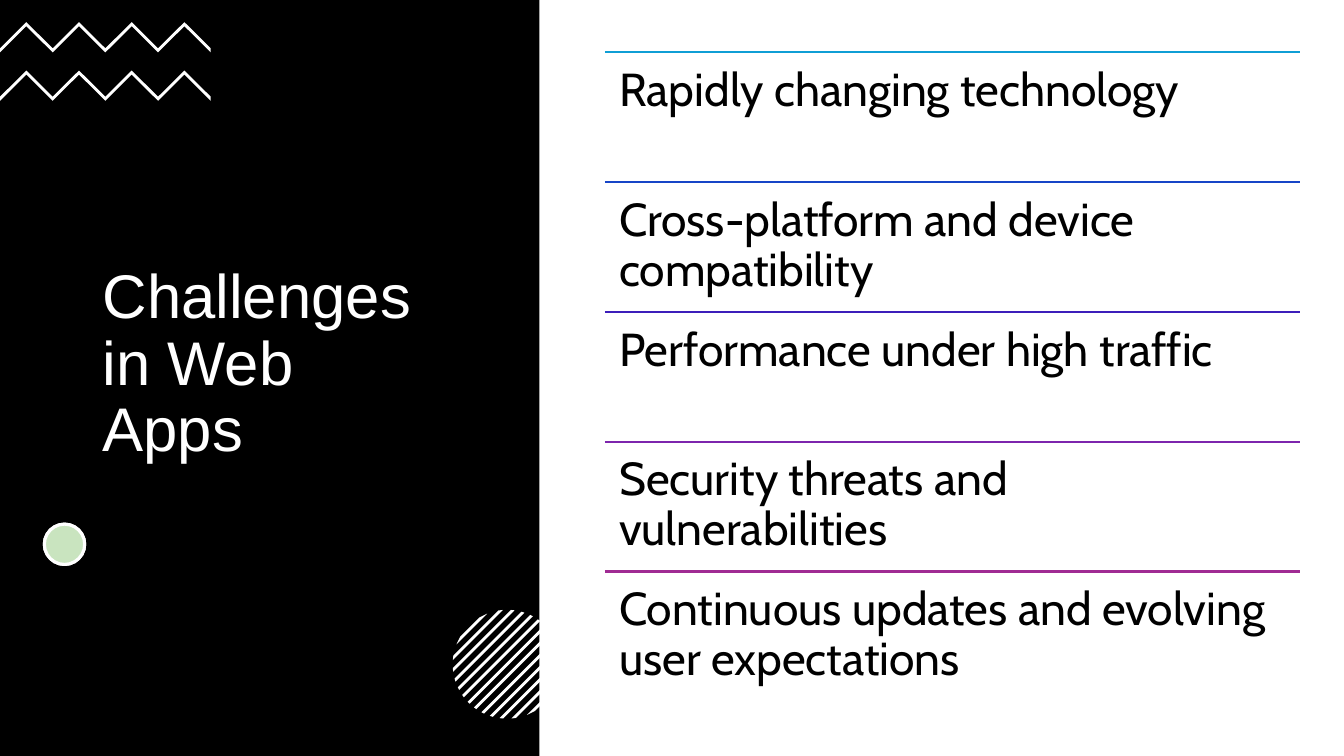
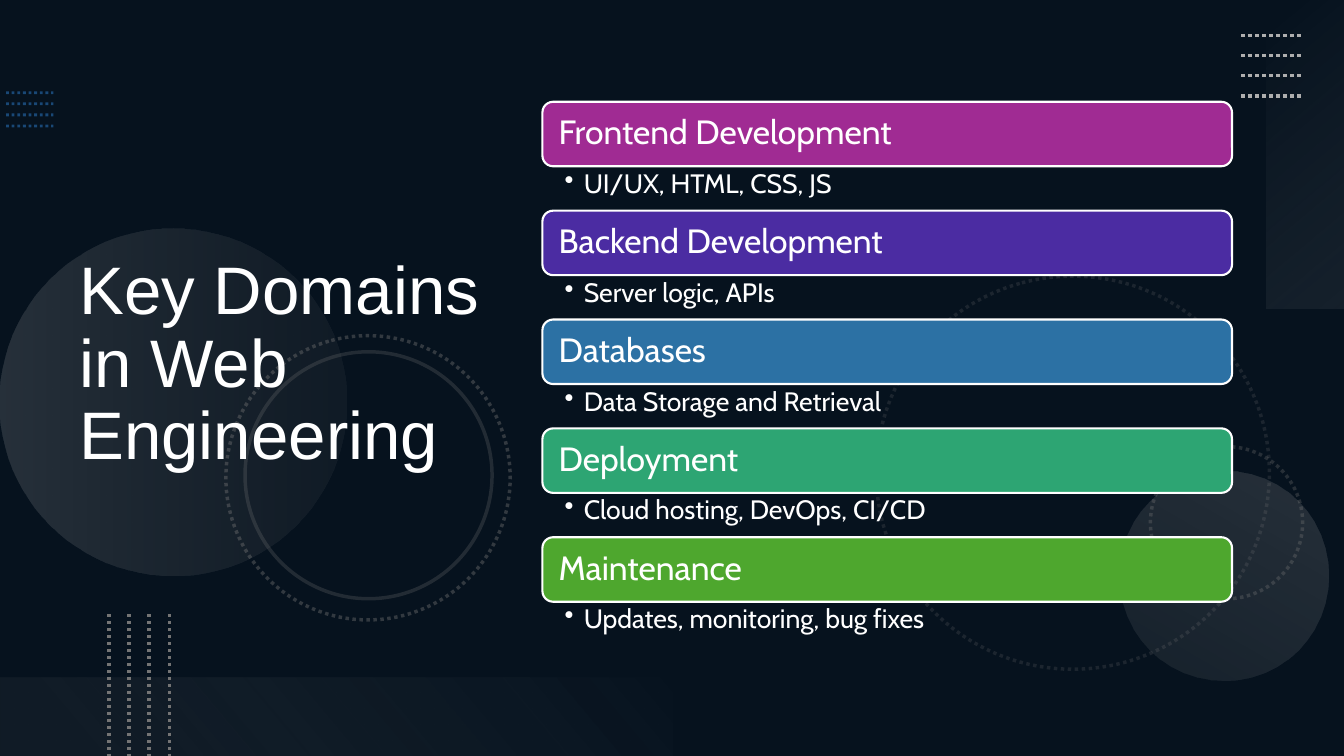
from dataclasses import dataclass
from math import sqrt

from lxml import etree
from pptx import Presentation
from pptx import util as u
from pptx.dml.color import RGBColor
from pptx.enum import dml, shapes, text
from pptx.oxml.ns import qn


@dataclass(frozen=True)
class Theme:
    black: str = "000000"
    white: str = "FFFFFF"
    navy: str = "0E2841"
    green: str = "4EA72E"
    dot_blue: str = "2D7FCF"
    gray: str = "747474"
    silver: str = "AEAEAE"
    mist: str = "F6F6F6"
    rules: tuple = ("0F9ED5", "1745C7", "3C1EBA", "7D25AD", "A02B93")
    bars: tuple = ("A02B93", "4B2CA2", "2C71A4", "2DA573", "4EA72E")
    title_font: str = "Arial"
    body_font: str = "Cabin"
    challenges_title_size: int = 44
    domains_title_size: int = 48
    challenge_size: int = 33
    domain_size: int = 24
    detail_size: int = 19


class Deck:
    def __init__(self, theme):
        self.theme = theme
        self.presentation = Presentation()
        self.presentation.slide_width = u.Inches(13.33)
        self.presentation.slide_height = u.Inches(7.5)
        self.slide = None

    def new_slide(self, color):
        layout = self.presentation.slide_layouts[6]
        self.slide = self.presentation.slides.add_slide(layout)
        fill = self.slide.background.fill
        fill.solid()
        fill.fore_color.rgb = RGBColor.from_string(color)

    def fade(self, color_element, percent):
        alpha = etree.SubElement(color_element, qn("a:alpha"))
        alpha.set("val", str(percent * 1000))

    def style_line(self, shape, color, width, dotted=False, opacity=100):
        shape.line.color.rgb = RGBColor.from_string(color)
        shape.line.width = u.Pt(width)
        if dotted:
            shape.line.dash_style = dml.MSO_LINE.ROUND_DOT
        if opacity < 100:
            self.fade(shape._element.spPr.xpath("./a:ln//a:srgbClr")[0], opacity)

    def style_fill(self, shape, color, opacity=100):
        shape.fill.solid()
        shape.fill.fore_color.rgb = RGBColor.from_string(color)
        if opacity < 100:
            self.fade(shape._element.spPr.xpath("./a:solidFill/a:srgbClr")[0], opacity)

    def shape(self, kind, left, top, width, height, fill=None, opacity=100, rotation=0):
        shape = self.slide.shapes.add_shape(
            kind, u.Inches(left), u.Inches(top), u.Inches(width), u.Inches(height))
        shape.shadow.inherit = False
        shape.rotation = rotation
        shape.line.fill.background()
        if fill:
            self.style_fill(shape, fill, opacity)
        else:
            shape.fill.background()
        return shape

    def rectangle(self, *box, **style):
        return self.shape(shapes.MSO_SHAPE.RECTANGLE, *box, **style)

    def circle(self, left, top, size, **style):
        return self.shape(shapes.MSO_SHAPE.OVAL, left, top, size, size, **style)

    def gradient(self, shape, stops, angle):
        shape.fill.gradient()
        shape.fill.gradient_angle = 360 - angle
        for stop, (position, color, _) in zip(shape.fill.gradient_stops, stops):
            stop.position = position
            stop.color.rgb = RGBColor.from_string(color)
        colors = shape._element.spPr.xpath("./a:gradFill//a:srgbClr")
        for element, (_, _, opacity) in zip(colors, stops):
            self.fade(element, opacity)

    def line(self, start, end, color, width, **style):
        connector = self.slide.shapes.add_connector(
            shapes.MSO_CONNECTOR.STRAIGHT, *(u.Inches(value) for value in start + end))
        self.style_line(connector, color, width, **style)
        etree.SubElement(connector._element.spPr, qn("a:effectLst"))

    def polygon(self, points, color):
        start, *others = [(u.Inches(x), u.Inches(y)) for x, y in points]
        builder = self.slide.shapes.build_freeform(*start)
        builder.add_line_segments(others, close=True)
        shape = builder.convert_to_shape()
        shape.shadow.inherit = False
        shape.line.fill.background()
        self.style_fill(shape, color)

    def set_text(self, shape, words, font, size, color, anchor, insets):
        frame = shape.text_frame
        frame.word_wrap = True
        frame.vertical_anchor = anchor
        (frame.margin_left, frame.margin_top,
         frame.margin_right, frame.margin_bottom) = map(u.Inches, insets)
        paragraph = frame.paragraphs[0]
        paragraph.text = words
        paragraph.alignment = text.PP_ALIGN.LEFT
        paragraph.line_spacing = 0.9
        paragraph.font.name = font
        paragraph.font.size = u.Pt(size)
        paragraph.font.color.rgb = RGBColor.from_string(color)
        return paragraph

    def text_box(self, box, *content):
        shape = self.slide.shapes.add_textbox(*map(u.Inches, box))
        return self.set_text(shape, *content)

    def title(self, words, box, size):
        self.text_box(box, words, self.theme.title_font, size, self.theme.white,
                      text.MSO_ANCHOR.MIDDLE, (0.1, 0.05, 0.1, 0.05))

    def bullet(self, paragraph, indent):
        properties = paragraph._p.get_or_add_pPr()
        properties.set("marL", str(u.Inches(indent)))
        properties.set("indent", str(-u.Inches(indent)))
        mark = properties.makeelement(qn("a:buChar"), {"char": "•"})
        properties.find(qn("a:defRPr")).addprevious(mark)

    def zigzag(self, top):
        step, rise, thickness = 2.09 / 8, 0.26, 0.04
        upper = [(i * step, top + (0 if i % 2 else rise)) for i in range(9)]
        lower = [(x, y + thickness) for x, y in reversed(upper)]
        self.polygon(upper + lower, self.theme.white)

    def hatched_circle(self, center_x, center_y, radius):
        gap, half_width = 0.12, 0.02
        for i in range(-6, 7):
            corners = []
            for edge, sides in ((-half_width, (1, -1)), (half_width, (-1, 1))):
                shift = (i * gap + edge) / 2
                reach = sqrt(radius ** 2 / 2 - shift ** 2)
                corners += [(center_x + shift + side * reach,
                             center_y + shift - side * reach) for side in sides]
            self.polygon(corners, self.theme.white)

    def challenge(self, words, top, color):
        left, width, height = 6, 6.89, 1.29
        self.line((left, top), (left + width, top), color, 1.5)
        self.text_box((left, top, width, height), words, self.theme.body_font,
                      self.theme.challenge_size, self.theme.black,
                      text.MSO_ANCHOR.TOP, (0.14,) * 4)

    def domain(self, name, detail, top, color):
        theme = self.theme
        left, width, height = 5.38, 6.84, 0.64
        bar = self.shape(shapes.MSO_SHAPE.ROUNDED_RECTANGLE,
                         left, top, width, height, fill=color)
        self.style_line(bar, theme.white, 1.5)
        self.set_text(bar, name, theme.body_font, theme.domain_size, theme.white,
                      text.MSO_ANCHOR.MIDDLE, (0.13, 0.1, 0.13, 0.1))
        paragraph = self.text_box(
            (left, top + 0.65, width, 0.43), detail, theme.body_font,
            theme.detail_size, theme.white, text.MSO_ANCHOR.TOP,
            (0.22, 0.03, 0.19, 0.03))
        self.bullet(paragraph, 0.19)


def challenges_slide(deck):
    theme = deck.theme
    deck.new_slide(theme.white)
    deck.rectangle(0, 0, 5.35, 7.5, fill=theme.black)
    deck.title("Challenges in Web Apps", (0.92, 1.31, 3.5, 4.63),
               theme.challenges_title_size)
    for top in (0.22, 0.7):
        deck.zigzag(top)
    for color, opacity in ((theme.white, 100), (theme.green, 30)):
        dot = deck.circle(0.44, 5.2, 0.4, fill=color, opacity=opacity)
        deck.style_line(dot, theme.white, 2.25)
    deck.hatched_circle(5.03, 6.59, 0.54)

    challenges = (
        "Rapidly changing technology",
        "Cross-platform and device compatibility",
        "Performance under high traffic",
        "Security threats and vulnerabilities",
        "Continuous updates and evolving user expectations",
    )
    first, last = 0.52, 5.67
    pitch = (last - first) / (len(challenges) - 1)
    for i, (words, color) in enumerate(zip(challenges, theme.rules)):
        deck.challenge(words, first + i * pitch, color)


def domains_slide(deck):
    theme = deck.theme
    deck.new_slide(theme.navy)
    deck.rectangle(0, 0, 13.33, 7.5, fill=theme.black, opacity=53)
    for i in range(4):
        y = 0.92 + i * 0.11
        deck.line((0.06, y), (0.53, y), theme.dot_blue, 2, dotted=True, opacity=50)

    rings = (
        (8.69, 2.74, 3.9, 75, True, 20),
        (11.41, 4.43, 1.51, 270, True, 30),
        (2.24, 3.33, 2.82, 75, True, 40),
        (2.43, 3.49, 2.45, 75, False, 25),
    )
    for left, top, size, rotation, dotted, opacity in rings:
        ring = deck.circle(left, top, size, rotation=rotation)
        deck.style_line(ring, theme.gray, 2.5, dotted, opacity)

    disc = deck.circle(0, 2.27, 3.44, rotation=270)
    deck.gradient(disc, ((0, theme.silver, 20), (1, theme.gray, 10)), 90)
    disc = deck.circle(11.1, 4.67, 2.08, rotation=210)
    deck.gradient(disc, ((0, theme.silver, 10), (1, theme.silver, 20)), 90)
    band = deck.rectangle(11.42, 1.14, 3.06, 0.78, rotation=270)
    deck.gradient(band, ((0, theme.mist, 0), (1, theme.silver, 10)), 140)
    band = deck.rectangle(0, 6.72, 6.67, 0.78, rotation=180)
    deck.gradient(band, ((0.1, theme.gray, 10), (1, theme.mist, 0)), 140)

    for i in range(4):
        x, y = 1.08 + i * 0.2, 0.35 + i * 0.2
        deck.line((12.31, y), (12.91, y), theme.silver, 2.5, dotted=True)
        deck.line((x, 6.09), (x, 7.5), theme.gray, 2.5, dotted=True)

    deck.title("Key Domains in Web Engineering", (0.69, 0.54, 4.59, 6.17),
               theme.domains_title_size)
    domains = (
        ("Frontend Development", "UI/UX, HTML, CSS, JS"),
        ("Backend Development", "Server logic, APIs"),
        ("Databases", "Data Storage and Retrieval"),
        ("Deployment", "Cloud hosting, DevOps, CI/CD"),
        ("Maintenance", "Updates, monitoring, bug fixes"),
    )
    for i, ((name, detail), color) in enumerate(zip(domains, theme.bars)):
        deck.domain(name, detail, 1.01 + i * 1.08, color)


def main():
    deck = Deck(Theme())
    challenges_slide(deck)
    domains_slide(deck)
    deck.presentation.save("out.pptx")


if __name__ == "__main__":
    main()
